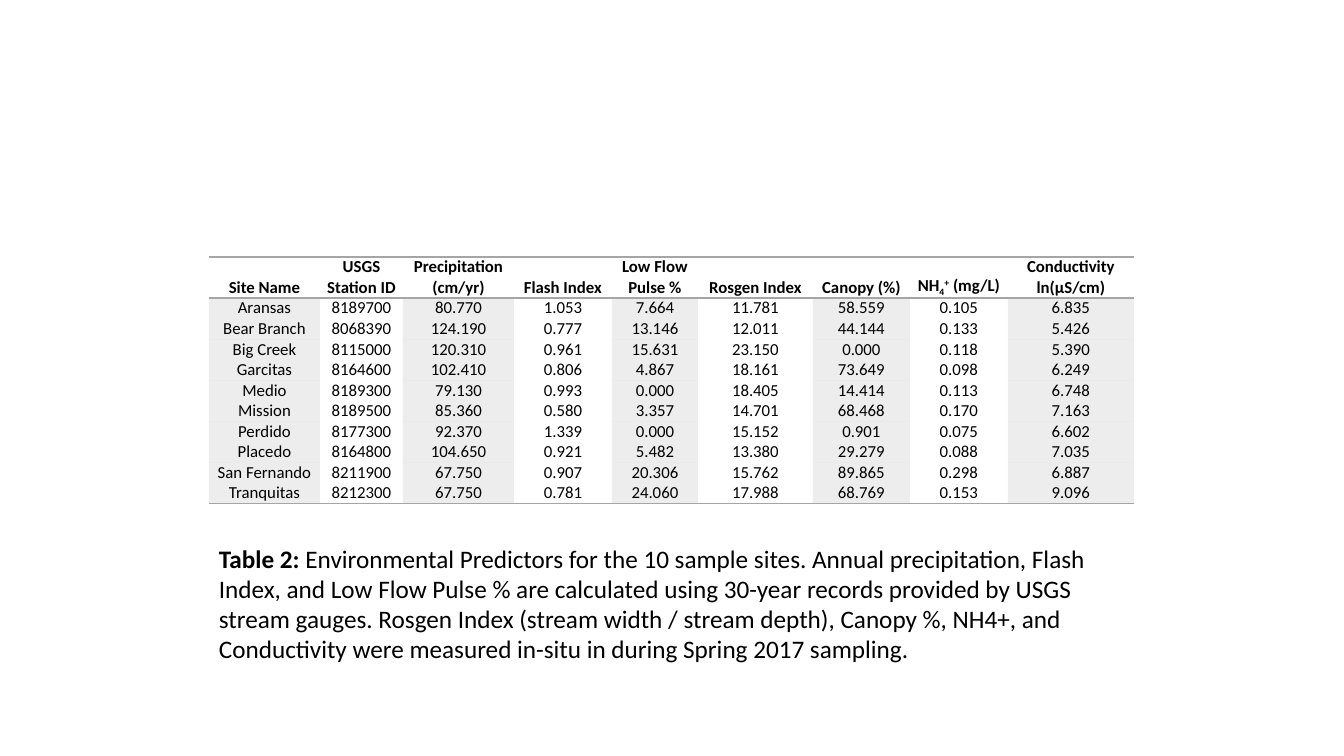
from lxml import etree
from pptx import Presentation
from pptx.dml.color import RGBColor
from pptx.enum.text import MSO_ANCHOR, PP_ALIGN
from pptx.oxml.ns import qn
from pptx.util import Pt

# Content: a header is a list of lines, a line is a list of (text, baseline)
HEADERS = [
    [[("Site Name", 0)]],
    [[("USGS", 0)], [("Station ID", 0)]],
    [[("Precipitation", 0)], [("(cm/yr)", 0)]],
    [[("Flash Index", 0)]],
    [[("Low Flow", 0)], [("Pulse %", 0)]],
    [[("Rosgen Index", 0)]],
    [[("Canopy (%)", 0)]],
    [[("NH", 0), ("4", -25), ("+", 30), (" (mg/L)", 0)]],
    [[("Conductivity", 0)], [("ln(µS/cm)", 0)]],
]
SITES = [
    ("Aransas", "8189700", "80.770", "1.053", "7.664", "11.781", "58.559", "0.105", "6.835"),
    ("Bear Branch", "8068390", "124.190", "0.777", "13.146", "12.011", "44.144", "0.133", "5.426"),
    ("Big Creek", "8115000", "120.310", "0.961", "15.631", "23.150", "0.000", "0.118", "5.390"),
    ("Garcitas", "8164600", "102.410", "0.806", "4.867", "18.161", "73.649", "0.098", "6.249"),
    ("Medio", "8189300", "79.130", "0.993", "0.000", "18.405", "14.414", "0.113", "6.748"),
    ("Mission", "8189500", "85.360", "0.580", "3.357", "14.701", "68.468", "0.170", "7.163"),
    ("Perdido", "8177300", "92.370", "1.339", "0.000", "15.152", "0.901", "0.075", "6.602"),
    ("Placedo", "8164800", "104.650", "0.921", "5.482", "13.380", "29.279", "0.088", "7.035"),
    ("San Fernando", "8211900", "67.750", "0.907", "20.306", "15.762", "89.865", "0.298", "6.887"),
    ("Tranquitas", "8212300", "67.750", "0.781", "24.060", "17.988", "68.769", "0.153", "9.096"),
]
CAPTION = [
    ("Table 2: ", True),
    ("Environmental Predictors for the 10 sample sites. Annual precipitation, Flash Index, "
     "and Low Flow Pulse % are calculated using 30-year records provided by USGS stream gauges. "
     "Rosgen Index (stream width / stream depth), Canopy %, NH4+, and Conductivity were measured "
     "in-situ in during Spring 2017 sampling.", False),
]

# Layout in px
COLUMN_WIDTHS = [111, 83, 111, 98, 86, 115, 97, 98, 126]
HEADER_HEIGHT, ROW_HEIGHT = 41, 20
LEFT, TABLE_TOP = 209, 257
CAPTION_TOP, CAPTION_HEIGHT = 538, 132

BLACK = RGBColor(0x00, 0x00, 0x00)
GREY = RGBColor(0xA5, 0xA5, 0xA5)
BAND_ALPHA = 20
FONT = "Calibri"
CENTER, BOTTOM = PP_ALIGN.CENTER, MSO_ANCHOR.BOTTOM
PLAIN_STYLE = "{2D5ABB26-0587-4C30-8999-92F81FD0307C}"


def px(length):
    return round(length * 914400 / 100.8)


def add_span(para, text, size, bold, baseline=0):
    span = para.add_run()
    span.text = text
    span.font.name, span.font.size, span.font.bold = FONT, Pt(size), bold
    span.font.color.rgb = BLACK
    if baseline:
        span.font._element.set("baseline", str(baseline * 1000))


def add_border(cell, side):
    properties = cell._tc.get_or_add_tcPr()
    line = etree.SubElement(properties, qn("a:" + side), w=str(Pt(1)))
    fill = etree.SubElement(line, qn("a:solidFill"))
    etree.SubElement(fill, qn("a:srgbClr"), val=str(GREY))


def fill_cell(cell, lines, bold, borders, banded):
    cell.margin_left = cell.margin_right = cell.margin_top = cell.margin_bottom = 0
    cell.vertical_anchor = BOTTOM
    frame = cell.text_frame
    for index, line in enumerate(lines):
        para = frame.add_paragraph() if index else frame.paragraphs[0]
        para.alignment = CENTER
        for text, baseline in line:
            add_span(para, text, 12, bold, baseline)
    for side in borders:
        add_border(cell, side)
    if banded:
        cell.fill.solid()
        cell.fill.fore_color.rgb = GREY
        color = cell._tc.tcPr.find(qn("a:solidFill")).find(qn("a:srgbClr"))
        etree.SubElement(color, qn("a:alpha"), val=str(BAND_ALPHA * 1000))
    else:
        cell.fill.background()


deck = Presentation()
deck.slide_width, deck.slide_height = px(1344), px(756)
page = deck.slides.add_slide(deck.slide_layouts[6])
width = sum(COLUMN_WIDTHS)

# Table of predictors
heights = [HEADER_HEIGHT] + [ROW_HEIGHT] * len(SITES)
table = page.shapes.add_table(len(heights), len(HEADERS), px(LEFT), px(TABLE_TOP),
                              px(width), px(sum(heights))).table
table.first_row = table.horz_banding = False
table._tbl.tblPr.find(qn("a:tableStyleId")).text = PLAIN_STYLE
for column, column_width in zip(table.columns, COLUMN_WIDTHS):
    column.width = px(column_width)
for row, height in zip(table.rows, heights):
    row.height = px(height)

for number, header in enumerate(HEADERS):
    fill_cell(table.cell(0, number), header, True, ["lnT", "lnB"], False)
for row_number, site in enumerate(SITES, 1):
    borders = ["lnB"] if row_number == len(SITES) else []
    for number, value in enumerate(site):
        fill_cell(table.cell(row_number, number), [[(value, 0)]], False,
                  borders, number % 2 == 0)

# Caption
box = page.shapes.add_textbox(px(LEFT), px(CAPTION_TOP), px(width), px(CAPTION_HEIGHT))
box.text_frame.word_wrap = True
for text, bold in CAPTION:
    add_span(box.text_frame.paragraphs[0], text, 18, bold)

deck.save("out.pptx")
